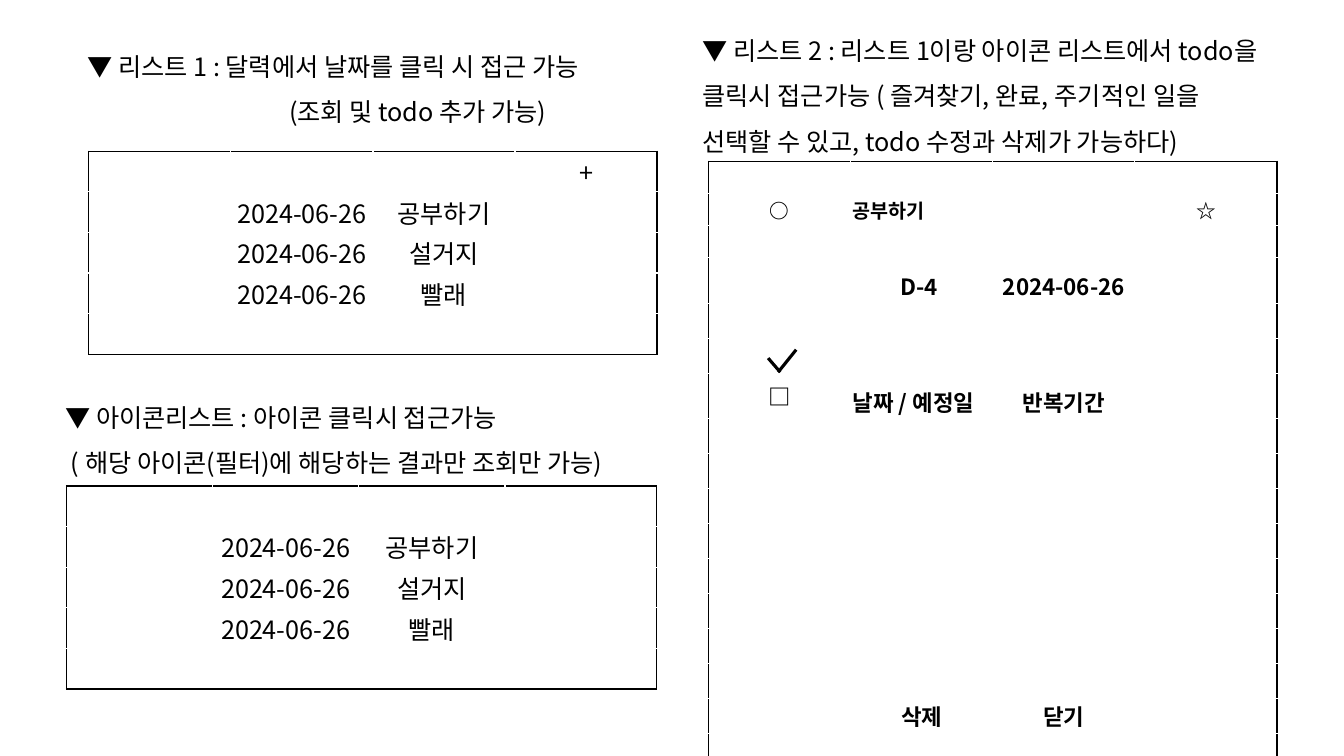
import lxml.etree
import pptx
import pptx.dml.color
import pptx.enum.shapes
import pptx.enum.text
import pptx.oxml.ns
import pptx.util

Pt = pptx.util.Pt
qn = pptx.oxml.ns.qn
ALIGN = pptx.enum.text.PP_ALIGN
ANCHOR = pptx.enum.text.MSO_ANCHOR
INK = pptx.dml.color.RGBColor(0x00, 0x00, 0x00)
FONT = "Noto Sans CJK KR"
TODO_DATE = "2024-06-26"
TODOS = ["공부하기", "설거지", "빨래"]
TODO_ENTRIES = {
    (row, column): (text, 18, False, ALIGN.CENTER)
    for row, todo in enumerate(TODOS, 1)
    for column, text in ((1, TODO_DATE), (2, todo))
}
ADD_ENTRY = {(0, 3): ("+", 18, False, ALIGN.CENTER)}
DETAIL_ENTRIES = {
    (1, 0): ("○", 14, True, ALIGN.CENTER),
    (1, 1): ("공부하기", 14, True, ALIGN.LEFT),
    (1, 3): ("☆", 14, True, ALIGN.CENTER),
    (3, 1): ("D-4 ", 16, True, ALIGN.CENTER),
    (3, 2): (TODO_DATE, 16, True, ALIGN.CENTER),
    (6, 0): ("□", 16, True, ALIGN.CENTER),
    (6, 1): ("날짜 / 예정일", 16, True, ALIGN.LEFT),
    (6, 2): ("반복기간", 16, True, ALIGN.CENTER),
    (15, 1): ("삭제", 16, True, ALIGN.CENTER),
    (15, 2): ("닫기", 16, True, ALIGN.CENTER),
}


def format_runs(paragraph, size, bold=False):
    for run in paragraph.runs:
        run.font.size = Pt(size)
        run.font.bold = bold
        run.font.color.rgb = INK
        run.font.name = FONT
        lxml.etree.SubElement(run.font._element, qn("a:ea"), typeface=FONT)


def draw_border(cell, sides):
    for side in sides:
        border = lxml.etree.SubElement(
            cell._tc.get_or_add_tcPr(), qn(f"a:ln{side}"), w=str(Pt(1)))
        fill = lxml.etree.SubElement(border, qn("a:solidFill"))
        lxml.etree.SubElement(fill, qn("a:srgbClr"), val=str(INK))


def add_panel(slide, left, top, column_widths, row_heights, entries, margins):
    panel = slide.shapes.add_table(
        len(row_heights), len(column_widths), Pt(left), Pt(top),
        Pt(sum(column_widths)), Pt(sum(row_heights))).table
    panel.first_row = panel.horz_banding = False
    for column, width in zip(panel.columns, column_widths):
        column.width = Pt(width)
    last_row, last_column = len(row_heights) - 1, len(column_widths) - 1
    for r, height in enumerate(row_heights):
        panel.rows[r].height = Pt(height)
        for c in range(len(column_widths)):
            cell = panel.cell(r, c)
            edges = {"L": c == 0, "R": c == last_column,
                     "T": r == 0, "B": r == last_row}
            draw_border(cell, [side for side, outer in edges.items() if outer])
            cell.fill.background()
            cell.margin_left = cell.margin_right = Pt(margins[0])
            cell.margin_top = cell.margin_bottom = Pt(margins[1])
            cell.vertical_anchor = ANCHOR.BOTTOM
            paragraph = cell.text_frame.paragraphs[0]
            if (r, c) in entries:
                text, size, bold, paragraph.alignment = entries[r, c]
                paragraph.text = text
                format_runs(paragraph, size, bold)
            else:
                lxml.etree.SubElement(
                    paragraph._p, qn("a:endParaRPr"), sz="1400")
    return panel


def add_caption(slide, left, top, width, height, lines, indents):
    caption = slide.shapes.add_textbox(
        Pt(left), Pt(top), Pt(width), Pt(height)).text_frame
    caption.word_wrap = False
    caption.auto_size = pptx.enum.text.MSO_AUTO_SIZE.SHAPE_TO_FIT_TEXT
    caption.text = "\n".join(lines)
    for paragraph, indent in zip(caption.paragraphs, indents):
        paragraph.line_spacing = 1.5
        if indent:
            paragraph._p.get_or_add_pPr().set("marL", str(Pt(indent)))
        format_runs(paragraph, 18)


def add_check_mark(slide, left, top):
    for start_x, start_y, end_x, end_y in ((0, 6, 8.6, 16), (20, 0, 7.2, 16)):
        stroke = slide.shapes.add_connector(
            pptx.enum.shapes.MSO_CONNECTOR.STRAIGHT,
            Pt(left + start_x), Pt(top + start_y),
            Pt(left + end_x), Pt(top + end_y))
        stroke.line.color.rgb = INK
        stroke.line.width = Pt(2.25)
        lxml.etree.SubElement(stroke._element.spPr, qn("a:effectLst"))


def add_calendar_list(slide, left, top):
    add_panel(slide, left + 8, top + 85.7, [101.5] * 4, [29] * 5,
              TODO_ENTRIES | ADD_ENTRY, (2.2, 1.4))
    add_caption(slide, left, top, 414, 68.4,
                ["▼ 리스트 1 : 달력에서 날짜를 클릭 시 접근 가능",
                 "(조회 및 todo 추가 가능)"], [0, 144])


def add_icon_list(slide, left, top):
    add_panel(slide, left + 8, top + 74.2, [104.4] * 3 + [108], [29] * 5,
              TODO_ENTRIES, (2.2, 1.4))
    add_caption(slide, left, top, 445.7, 68.4,
                ["▼ 아이콘리스트 : 아이콘 클릭시 접근가능",
                 " ( 해당 아이콘(필터)에 해당하는 결과만 조회만 가능)"], [0, 0])


def add_todo_detail(slide, left, top):
    row_heights = [23] * 3 + [32.4] + [25] * 2 + [32.4] + [25] * 11
    panel = add_panel(slide, left + 11.5, top + 104.4, [101.5] * 4,
                      row_heights, DETAIL_ENTRIES, (1.4, 0.7))
    panel.cell(6, 0).vertical_anchor = ANCHOR.MIDDLE
    add_check_mark(slide, left + 54, top + 239)
    add_caption(slide, left, top, 468.7, 101.5,
                ["▼ 리스트 2 : 리스트 1이랑 아이콘 리스트에서 todo을",
                 "클릭시 접근가능 ( 즐겨찾기, 완료, 주기적인 일을",
                 "선택할 수 있고, todo 수정과 삭제가 가능하다)"], [0, 0, 0])


def main():
    presentation = pptx.Presentation()
    presentation.slide_width = Pt(960)
    presentation.slide_height = Pt(540)
    slide = presentation.slides.add_slide(presentation.slide_layouts[6])
    add_calendar_list(slide, 55.4, 22.3)
    add_icon_list(slide, 39.5, 272.9)
    add_todo_detail(slide, 494.7, 10.8)
    presentation.save("out.pptx")


if __name__ == "__main__":
    main()
